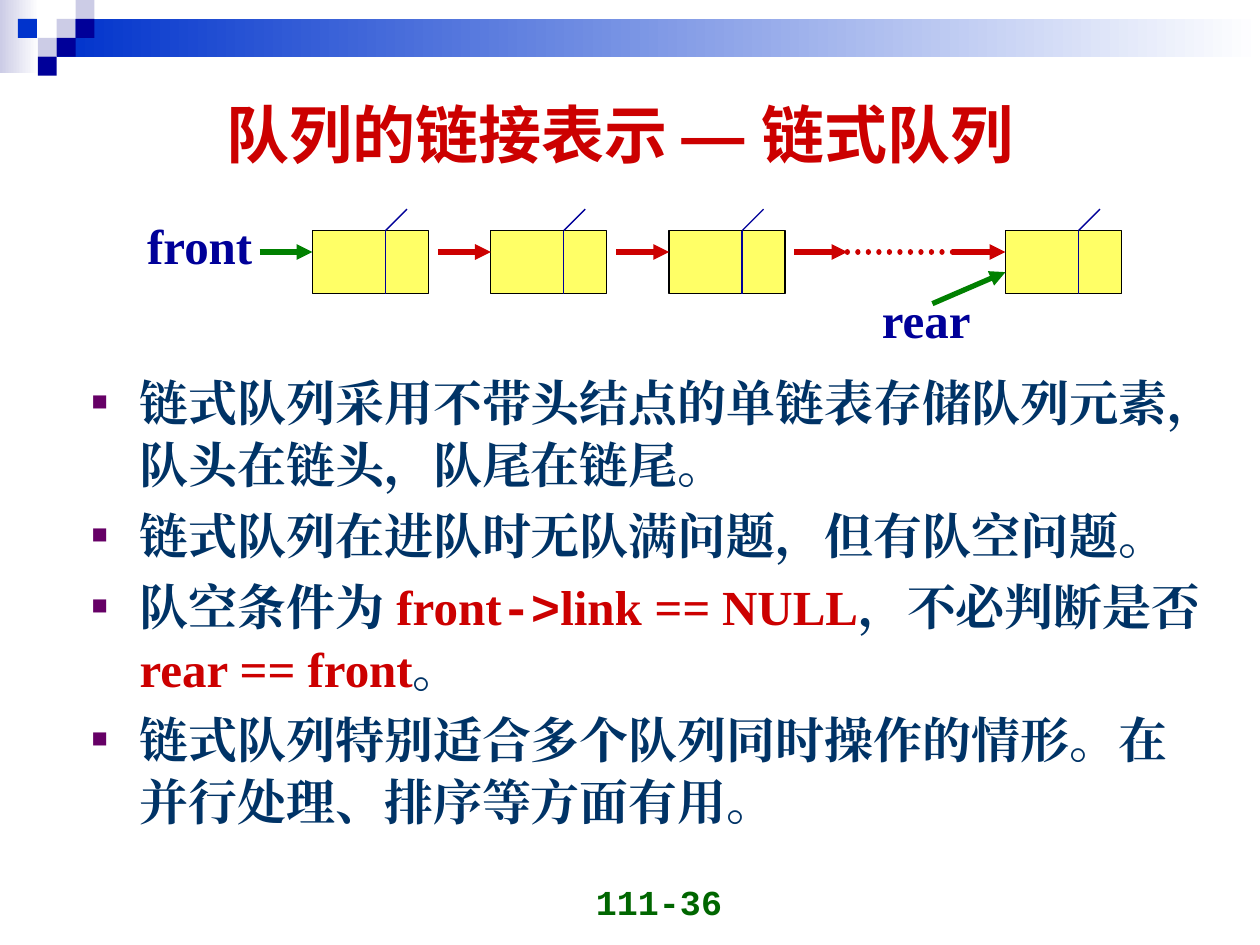
from pptx import Presentation
from pptx.util import Inches, Pt
from pptx.dml.color import RGBColor
from pptx.enum.dml import MSO_LINE as Dash
from pptx.enum.shapes import MSO_SHAPE as Shape, MSO_CONNECTOR as Link
from pptx.enum.text import PP_ALIGN as Align, MSO_ANCHOR as Anchor
from pptx.oxml.ns import qn
from lxml.etree import SubElement as Sub

SERIF, MONO, SANS = "Times New Roman", "Courier New", "Noto Sans CJK SC"
RED, NAVY, GREEN, TEAL = "CC0000", "000099", "008000", "003366"
PALE, BLUE, WHITE = "CCCCE6", "0033CC", "FFFFFF"


def color(code):
    return RGBColor.from_string(code)


def add_run(para, text, size, face, tint, slant=False):
    run = para.add_run()
    run.text = text
    font = run.font
    font.size, font.name, font.bold = Pt(size), face, True
    font.italic = slant
    font.color.rgb = color(tint)
    props = run._r.get_or_add_rPr()
    props.set("lang", "zh-CN")
    Sub(props, qn("a:ea"), typeface=face)


def add_text(slide, x, y, w, h, wrap=True):
    frame = slide.shapes.add_textbox(Inches(x), Inches(y), Inches(w), Inches(h)).text_frame
    frame.word_wrap = wrap
    return frame


def add_box(slide, x, y, w, h, fill, edge=None):
    box = slide.shapes.add_shape(Shape.RECTANGLE, Inches(x), Inches(y), Inches(w), Inches(h))
    box.shadow.inherit = False
    if isinstance(fill, tuple):
        box.fill.gradient()
        box.fill.gradient_angle = 0
        for stop, code, place in zip(box.fill.gradient_stops, fill, (0, 1)):
            stop.color.rgb, stop.position = color(code), place
    else:
        box.fill.solid()
        box.fill.fore_color.rgb = color(fill)
    if edge:
        box.line.color.rgb, box.line.width = color(edge), Pt(0.75)
    else:
        box.line.fill.background()


def add_line(slide, x1, y1, x2, y2, tint, width=0.75, arrow=False, dots=False):
    line = slide.shapes.add_connector(
        Link.STRAIGHT, Inches(x1), Inches(y1), Inches(x2), Inches(y2))
    line.line.color.rgb, line.line.width = color(tint), Pt(width)
    props = line._element.spPr
    stroke = props.find(qn("a:ln"))
    if dots:
        line.line.dash_style = Dash.ROUND_DOT
        stroke.set("cap", "rnd")
    if arrow:
        Sub(stroke, qn("a:tailEnd"), type="triangle")
    Sub(props, qn("a:effectLst"))


def add_banner(slide, x, y, w, h):
    cell = 0.15
    add_box(slide, x, y, 0.31, h, (PALE, WHITE))
    add_box(slide, x + 3 * cell, y + cell, w - 3 * cell, 2 * cell, (BLUE, WHITE))
    tiles = [(3, 1, PALE), (4, 0, PALE), (4, 1, NAVY), (2, 2, PALE),
             (0.95, 1, BLUE), (3, 2, NAVY), (2, 3, NAVY)]
    for col, row, tint in tiles:
        add_box(slide, x + col * cell, y + row * cell, cell, cell, tint)


def add_title(slide, x, y, w, h):
    title = slide.shapes.title
    title.left, title.top, title.width, title.height = map(Inches, (x, y, w, h))
    frame = title.text_frame
    frame.vertical_anchor = Anchor.MIDDLE
    para = frame.paragraphs[0]
    para.alignment = Align.CENTER
    for text, face in (("队列的链接表示 ", SANS), ("— ", "Arial"), ("链式队列", SANS)):
        add_run(para, text, 36, face, RED)


def add_node(slide, x, y, w, h):
    split = x + 0.58
    add_box(slide, x, y, w, h, "FFFF66", "000000")
    add_line(slide, split, y, split, y + h, NAVY)
    add_line(slide, split, y, split + 0.17, y - 0.17, NAVY)


def add_chain(slide, x, y, w, h):
    wide, tall, step, reach = 0.92, 0.5, 1.415, 0.42
    first, last = x + 1.41, x + w - wide
    top, mid = y + 0.17, y + 0.34
    for left in [first + i * step for i in range(3)] + [last]:
        add_node(slide, left, top, wide, tall)
        tint = GREEN if left == first else RED
        add_line(slide, left - reach, mid, left, mid, tint, 3, arrow=True)
    gap = first + 3 * step
    add_line(slide, gap - reach, mid, gap, mid, RED, 3, arrow=True)
    add_line(slide, gap, mid, last - reach, mid, RED, 3, dots=True)
    add_line(slide, last - 0.58, y + 0.75, last, y + 0.5, GREEN, 3, arrow=True)
    for text, left, head, span in (("front", x, y, 1.04),
                                   ("rear", last - 1.08, y + h - 0.57, 0.91)):
        frame = add_text(slide, left, head, span, 0.57, wrap=False)
        add_run(frame.paragraphs[0], text, 28, SERIF, NAVY)


def add_bullet(para):
    props = para._p.get_or_add_pPr()
    props.set("marL", str(Inches(0.38)))
    props.set("indent", str(-Inches(0.38)))
    Sub(Sub(props, qn("a:buClr")), qn("a:srgbClr"), val="660066")
    Sub(props, qn("a:buSzPct"), val="55000")
    Sub(props, qn("a:buFont"), typeface="Arial")
    Sub(props, qn("a:buChar"), char="■")


def add_points(slide, x, y, w, h):
    points = [
        [("链式队列采用不带头结点的单链表存储队列元素，队头在链头，队尾在链尾。", TEAL)],
        [("链式队列在进队时无队满问题，但有队空问题。", TEAL)],
        [("队空条件为 ", TEAL), ("front", RED), ("->", RED, MONO), ("link ", RED),
         ("==", RED, SERIF, True), (" NULL", RED), ("，不必判断是否 ", TEAL),
         ("rear == front", RED), ("。", TEAL)],
        [("链式队列特别适合多个队列同时操作的情形。在并行处理、排序等方面有用。", TEAL)],
    ]
    frame = add_text(slide, x, y, w, h)
    for i, parts in enumerate(points):
        para = frame.add_paragraph() if i else frame.paragraphs[0]
        add_bullet(para)
        para.line_spacing = Pt(35.4)
        if i:
            para.space_before = Pt(5.2)
        for text, tint, *rest in parts:
            face, slant = rest[0] if rest else SERIF, len(rest) > 1
            add_run(para, text, 28, face, tint, slant)


def add_number(slide, x, y, w, h):
    frame = add_text(slide, x, y, w, h)
    frame.vertical_anchor = Anchor.BOTTOM
    para = frame.paragraphs[0]
    para.alignment = Align.RIGHT
    add_run(para, "111-36", 20, MONO, "006600")


def main():
    deck = Presentation()
    deck.slide_width, deck.slide_height = Inches(10), Inches(7.5)
    slide = deck.slides.add_slide(deck.slide_layouts[5])
    add_banner(slide, 0, 0, 10, 0.58)
    add_number(slide, 3.5, 6.87, 2.33, 0.5)
    add_title(slide, 0.67, 0.68, 8.5, 0.75)
    add_chain(slide, 1.07, 1.66, 7.83, 1.16)
    add_points(slide, 0.63, 2.88, 9, 4.02)
    deck.save("out.pptx")


if __name__ == "__main__":
    main()
